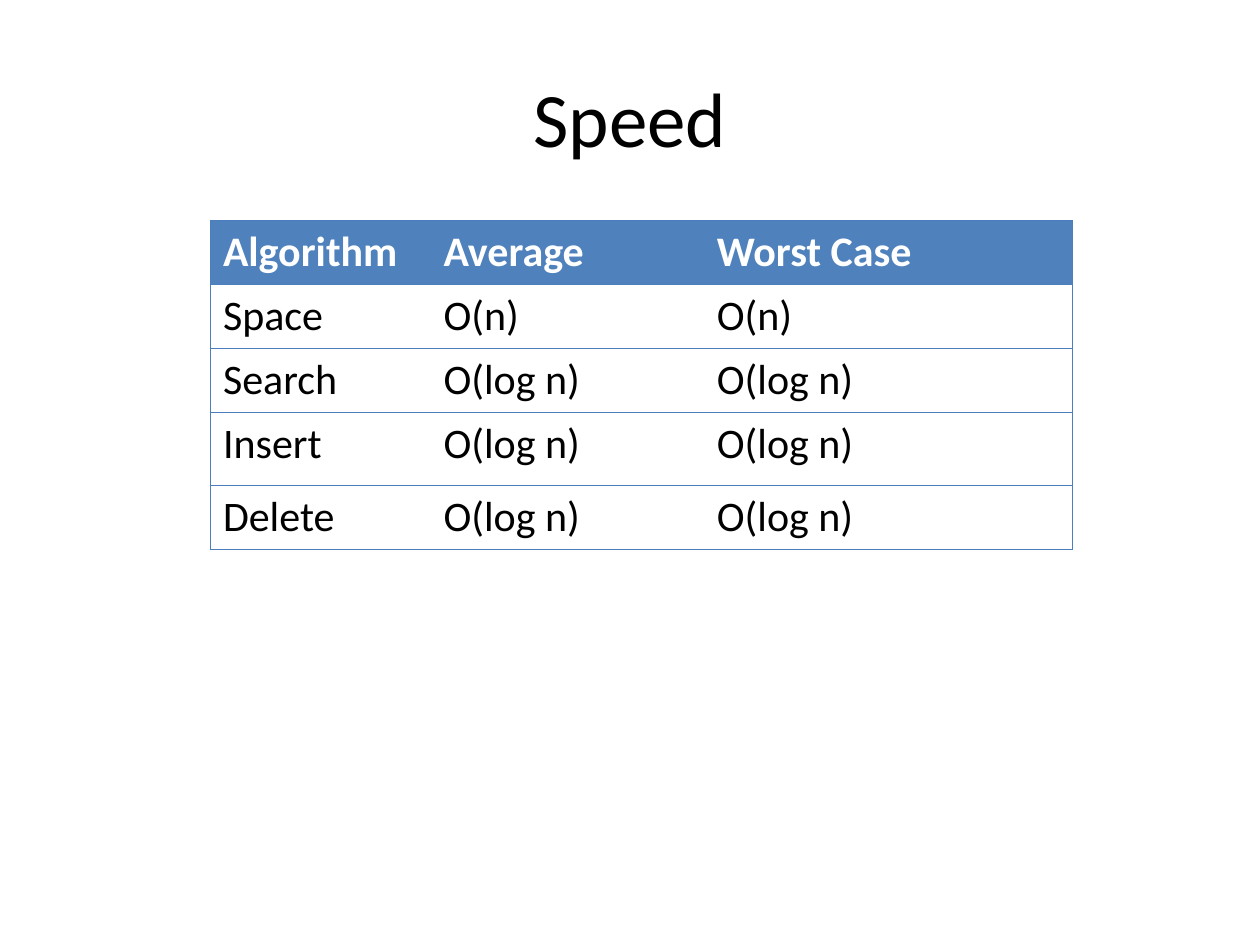
"""Build a slide with a table of average and worst-case costs."""
from typing import NamedTuple

from lxml.etree import SubElement
from pptx import Presentation
from pptx.dml.color import RGBColor
from pptx.enum.text import MSO_ANCHOR, PP_ALIGN
from pptx.oxml.ns import qn
from pptx.table import _Cell
from pptx.util import Inches, Pt

WHITE = RGBColor(0xFF, 0xFF, 0xFF)
BLACK = RGBColor(0, 0, 0)
HEADER_BLUE = RGBColor(0x4F, 0x81, 0xBD)
BORDER_BLUE = RGBColor(0x4B, 0x7E, 0xBC)
FONT = "Calibri"
COLUMN_WIDTHS = (1.75, 2.17, 2.92)
ROW_HEIGHTS = (0.41, 0.41, 0.41, 0.58, 0.41)


class Cost(NamedTuple):
    operation: str
    average: str
    worst_case: str


COSTS = (
    Cost("Algorithm", "Average", "Worst Case"),
    Cost("Space", "O(n)", "O(n)"),
    Cost("Search", "O(log n)", "O(log n)"),
    Cost("Insert", "O(log n)", "O(log n)"),
    Cost("Delete", "O(log n)", "O(log n)"),
)


def set_borders(cell: _Cell, left: bool, right: bool) -> None:
    properties = cell._tc.get_or_add_tcPr()
    for side, visible in (("L", left), ("R", right), ("T", True), ("B", True)):
        line = SubElement(properties, qn(f"a:ln{side}"), w=str(Pt(0.75)))
        if visible:
            fill = SubElement(line, qn("a:solidFill"))
            SubElement(fill, qn("a:srgbClr"), val=str(BORDER_BLUE))
        else:
            SubElement(line, qn("a:noFill"))


def format_cell(cell: _Cell, label: str, is_header: bool) -> None:
    cell.text = label
    font = cell.text_frame.paragraphs[0].font
    font.name = FONT
    font.size = Pt(24)
    font.bold = is_header
    font.color.rgb = WHITE if is_header else BLACK
    if is_header:
        cell.fill.solid()
        cell.fill.fore_color.rgb = HEADER_BLUE
    else:
        cell.fill.background()


def main() -> None:
    presentation = Presentation()
    presentation.slide_width = Inches(10)
    presentation.slide_height = Inches(7.5)
    slide = presentation.slides.add_slide(presentation.slide_layouts[5])

    title = slide.shapes.title
    title.left, title.top = Inches(0.5), Inches(0.3)
    title.width, title.height = Inches(9), Inches(1.25)
    title.text_frame.text = "Speed"
    title.text_frame.vertical_anchor = MSO_ANCHOR.MIDDLE
    heading = title.text_frame.paragraphs[0]
    heading.alignment = PP_ALIGN.CENTER
    heading.font.name = FONT
    heading.font.size = Pt(44)
    heading.font.color.rgb = BLACK

    costs = slide.shapes.add_table(
        len(COSTS), len(COLUMN_WIDTHS), Inches(1.67), Inches(1.75),
        Inches(sum(COLUMN_WIDTHS)), Inches(sum(ROW_HEIGHTS)),
    ).table
    costs.horz_banding = False
    for column, width in zip(costs.columns, COLUMN_WIDTHS):
        column.width = Inches(width)
    for row_index, (row, height, cost) in enumerate(zip(costs.rows, ROW_HEIGHTS, COSTS)):
        row.height = Inches(height)
        for column_index, (cell, label) in enumerate(zip(row.cells, cost)):
            set_borders(cell, column_index == 0, column_index == len(cost) - 1)
            format_cell(cell, label, row_index == 0)

    presentation.save("out.pptx")


if __name__ == "__main__":
    main()
